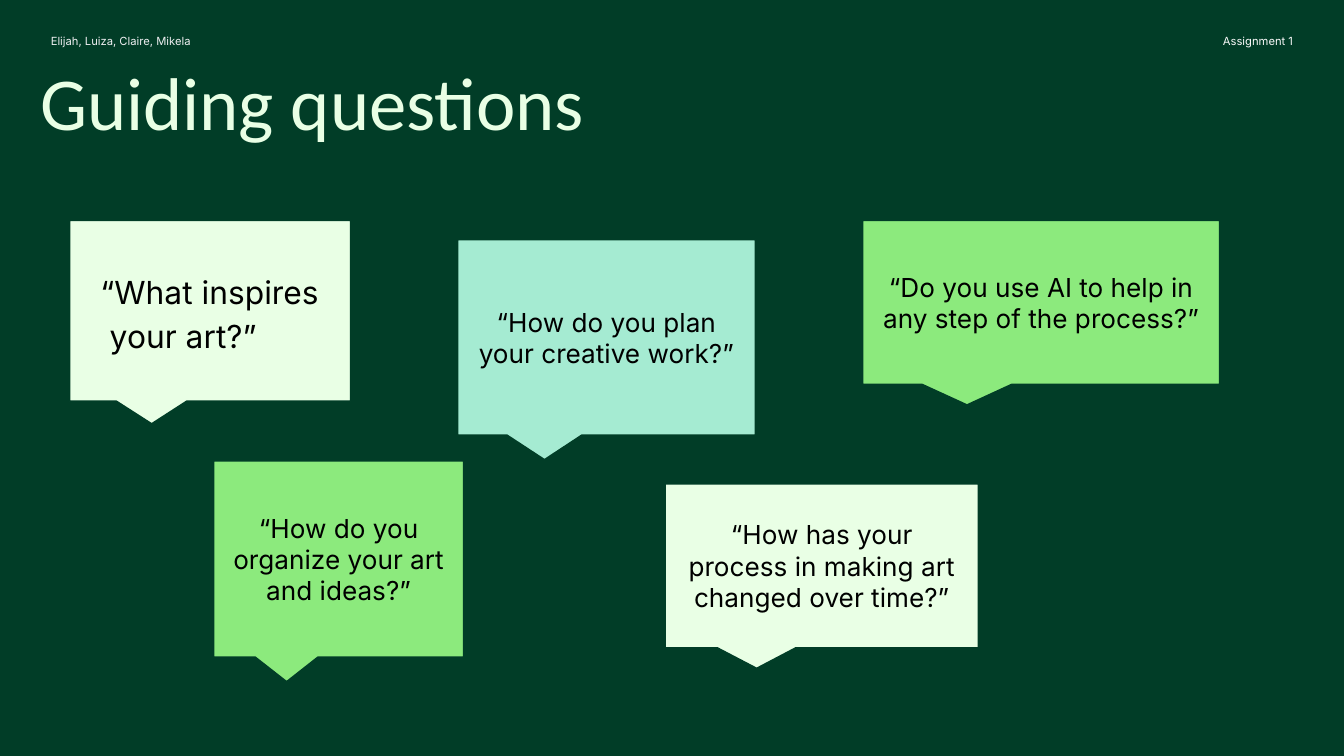
import pptx
import pptx.dml.color
import pptx.enum.shapes
import pptx.enum.text
import pptx.util

RGBColor = pptx.dml.color.RGBColor
Align = pptx.enum.text.PP_ALIGN
Anchor = pptx.enum.text.MSO_ANCHOR

FOREST = RGBColor(0x01, 0x3D, 0x27)
CREAM = RGBColor(0xE9, 0xFF, 0xE5)
MINT = RGBColor(0xA5, 0xEB, 0xD2)
LIME = RGBColor(0x8C, 0xEA, 0x7D)
BLACK = RGBColor(0x00, 0x00, 0x00)
WHITE = RGBColor(0xFA, 0xFA, 0xFA)
SILVER = RGBColor(0xED, 0xEE, 0xF0)

SLIDE_WIDTH = pptx.util.Inches(10)
SLIDE_HEIGHT = pptx.util.Emu(SLIDE_WIDTH * 9 // 16)
CELL = SLIDE_WIDTH / 100
INSET = 1

BUBBLES = [
    ((34.05, 17.83, 22.15, 14.55), MINT, "“How do you plan your creative work?”"),
    ((64.2, 16.4, 26.55, 12.2), LIME, "“Do you use AI to help in any step of the process?”"),
    ((15.9, 34.3, 18.6, 14.6), LIME, "“How do you organize your art and ideas?”"),
    ((49.5, 36, 23.3, 12.2), CREAM, "“How has your process in making art changed over time?”"),
]


def grid(*cells):
    """Turn counts of grid columns and rows into lengths."""
    return [pptx.util.Emu(round(count * CELL)) for count in cells]


def prepare_frame(box, inset, anchor):
    """Set wrapping, margins and anchor, and return the text frame."""
    frame = box.text_frame
    frame.word_wrap = True
    frame.vertical_anchor = anchor
    margin = grid(inset)[0]
    frame.margin_left = frame.margin_right = margin
    frame.margin_top = frame.margin_bottom = margin
    return frame


def write_para(para, text, size, color, font="Inter", align=Align.LEFT, spacing=1.0):
    """Write one run of styled text into a paragraph."""
    para.alignment = align
    para.line_spacing = spacing
    span = para.add_run()
    span.text = text
    span.font.name = font
    span.font.size = pptx.util.Pt(size)
    span.font.color.rgb = color


def add_label(page, place, text, size, color, inset=0, **style):
    """Add a single-paragraph text box."""
    box = page.shapes.add_textbox(*grid(*place))
    frame = prepare_frame(box, inset, Anchor.TOP)
    write_para(frame.paragraphs[0], text, size, color, **style)


def add_bubble(page, place, fill):
    """Add an empty speech bubble and return its text frame."""
    kind = pptx.enum.shapes.MSO_SHAPE.RECTANGULAR_CALLOUT
    bubble = page.shapes.add_shape(kind, *grid(*place))
    bubble.adjustments[0] = -0.208
    bubble.adjustments[1] = 0.625
    bubble.shadow.inherit = False
    bubble.fill.solid()
    bubble.fill.fore_color.rgb = fill
    bubble.line.color.rgb = FOREST
    bubble.line.width = pptx.util.Pt(0.75)
    return prepare_frame(bubble, INSET, Anchor.MIDDLE)


def add_inspiration(page):
    """Add the larger opening question with its indented lines."""
    frame = add_bubble(page, (5.18, 16.4, 20.9, 13.45), CREAM)
    lines = [("“What inspires", 1.3), ("your art?”", 2)]
    for index, (text, indent) in enumerate(lines):
        para = frame.add_paragraph() if index else frame.paragraphs[0]
        para._p.get_or_add_pPr().set("marL", str(grid(indent)[0]))
        write_para(para, text, 17, BLACK, spacing=1.15)


def main():
    """Build the guiding questions slide."""
    deck = pptx.Presentation()
    deck.slide_width, deck.slide_height = SLIDE_WIDTH, SLIDE_HEIGHT
    page = deck.slides.add_slide(deck.slide_layouts[6])
    page.background.fill.solid()
    page.background.fill.fore_color.rgb = FOREST

    add_label(page, (2, 5, 47.5, 7.4), "Guiding questions", 40, CREAM,
              inset=INSET, font="Calibri", spacing=0.7)
    add_label(page, (82.7, 2.54, 13.5, 0.8), "Assignment 1", 6, WHITE, align=Align.RIGHT)
    add_label(page, (3.78, 2.54, 19.2, 0.8), "Elijah, Luiza, Claire, Mikela", 6, SILVER)

    add_inspiration(page)
    for place, fill, question in BUBBLES:
        frame = add_bubble(page, place, fill)
        write_para(frame.paragraphs[0], question, 14, BLACK, align=Align.CENTER)
    deck.save("out.pptx")


if __name__ == "__main__":
    main()
